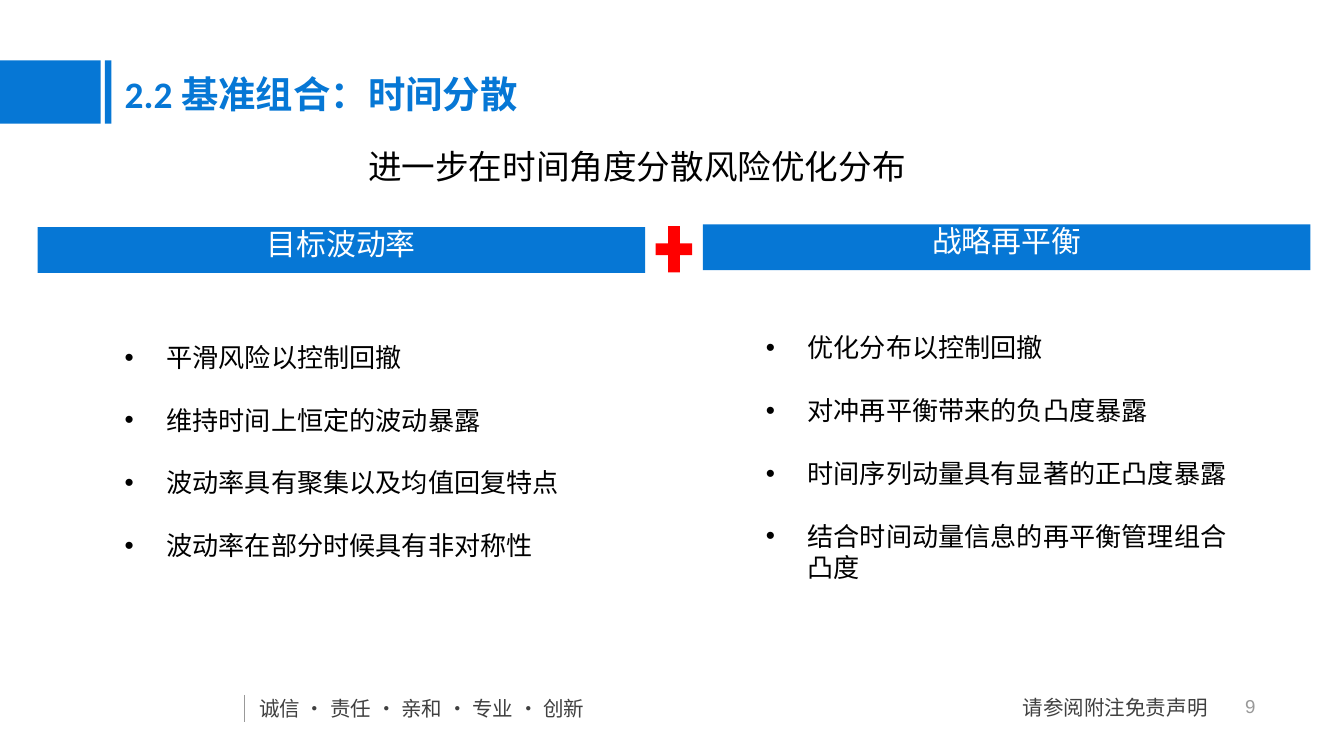
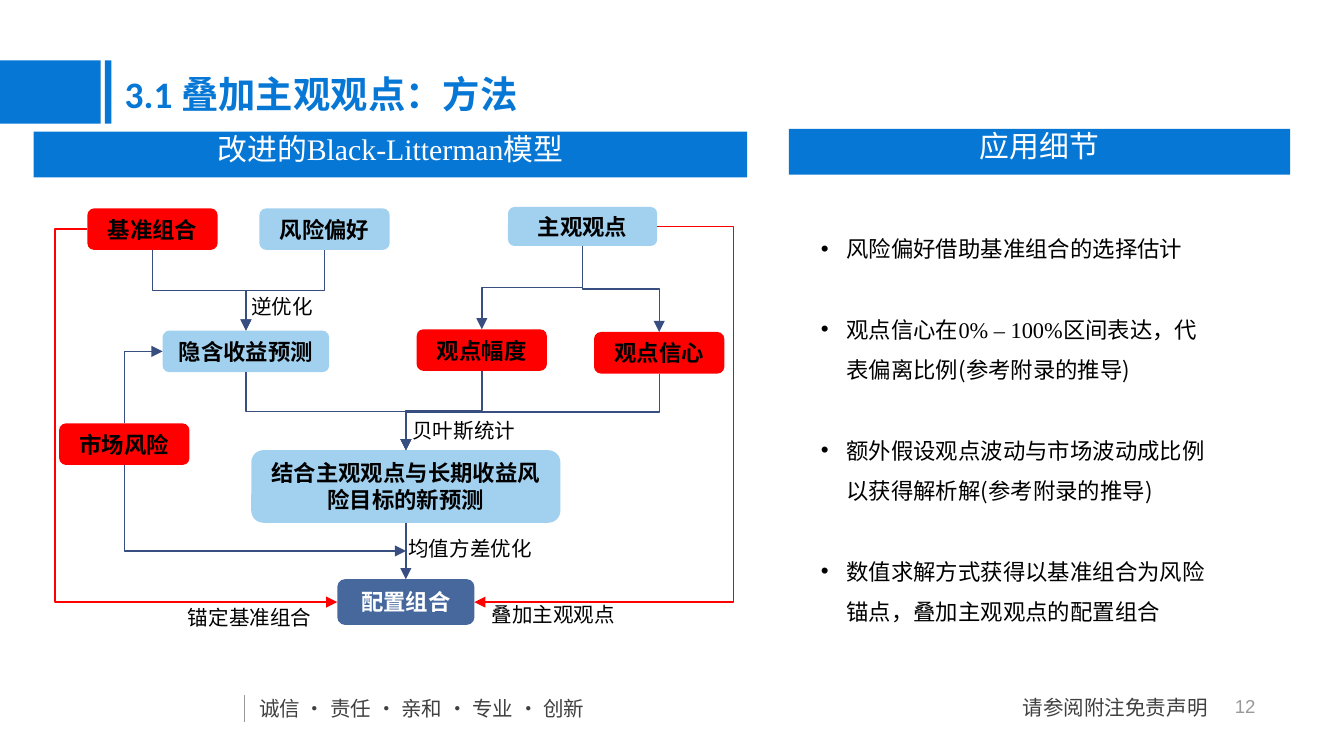
import pptx
import pptx.dml.color
import pptx.enum.shapes
import pptx.enum.text
import pptx.oxml
import pptx.oxml.ns
import pptx.util

Inches = pptx.util.Inches
Pt = pptx.util.Pt
RGBColor = pptx.dml.color.RGBColor
Shape = pptx.enum.shapes.MSO_SHAPE
Connector = pptx.enum.shapes.MSO_CONNECTOR
Align = pptx.enum.text.PP_ALIGN
Anchor = pptx.enum.text.MSO_ANCHOR
qn = pptx.oxml.ns.qn

BLUE = RGBColor(0x06, 0x77, 0xD5)
SKY = RGBColor(0xA2, 0xD1, 0xEF)
STEEL = RGBColor(0x47, 0x68, 0x9D)
NAVY = RGBColor(0x38, 0x4D, 0x80)
RED = RGBColor(0xFF, 0x00, 0x00)
BLACK = RGBColor(0x00, 0x00, 0x00)
WHITE = RGBColor(0xFF, 0xFF, 0xFF)
DARK_GRAY = RGBColor(0x40, 0x40, 0x40)
GRAY = RGBColor(0x99, 0x99, 0x99)

SANS = "Noto Sans CJK SC"
SERIF = "Times New Roman"
LINE_HEIGHT = 1.2
TOP, LEFT, BOTTOM, RIGHT = range(4)

MOTTO = "诚信 · 责任 · 亲和 · 专业 · 创新"
DISCLAIMER = "请参阅附注免责声明"

DIVERSIFICATION = {
    "title": "2.2 基准组合：时间分散",
    "number": "9 ",
    "banners": [
        ((0.28, 1.69, 4.52), [("目标波动率", SANS)]),
        ((5.23, 1.67, 4.52), [("战略再平衡", SANS)]),
    ],
}
SUBTITLE = "进一步在时间角度分散风险优化分布"
VOLATILITY_POINTS = [
    [("平滑风险以控制回撤", SANS)],
    [("维持时间上恒定的波动暴露", SANS)],
    [("波动率具有聚集以及均值回复特点", SANS)],
    [("波动率在部分时候具有非对称性", SANS)],
]
REBALANCING_POINTS = [
    [("优化分布以控制回撤", SANS)],
    [("对冲再平衡带来的负凸度暴露", SANS)],
    [("时间序列动量具有显著的正凸度暴露", SANS)],
    [("结合时间动量信息的再平衡管理组合凸度", SANS)],
]

VIEWS = {
    "title": "3.1 叠加主观观点：方法",
    "number": "12 ",
    "banners": [
        ((0.25, 0.98, 5.31), [("改进的", SANS), ("Black-Litterman", SERIF), ("模型", SANS)]),
        ((5.87, 0.96, 3.73), [("应用细节", SANS)]),
    ],
}
DETAIL_POINTS = [
    [("风险偏好借助基准组合的选择估计", SANS)],
    [("观点信心在", SANS), ("0% – 100%区间", SERIF), ("表达，代表偏离比例(参考附录的推导)", SANS)],
    [("额外假设观点波动与市场波动成比例以获得解析解(参考附录的推导)", SANS)],
    [("数值求解方式获得以基准组合为风险锚点，叠加主观观点的配置组合", SANS)],
]
FORECAST = "结合主观观点与长期收益风险目标的新预测"
NODES = {
    "基准组合": ((0.65, 1.55, 0.97, 0.31), RED, BLACK),
    "风险偏好": ((1.93, 1.55, 0.97, 0.31), SKY, BLACK),
    "主观观点": ((3.78, 1.54, 1.11, 0.29), SKY, BLACK),
    "隐含收益预测": ((1.21, 2.46, 1.24, 0.31), SKY, BLACK),
    "观点幅度": ((3.1, 2.45, 0.97, 0.31), RED, BLACK),
    "观点信心": ((4.42, 2.47, 0.97, 0.31), RED, BLACK),
    "市场风险": ((0.44, 3.15, 0.97, 0.31), RED, BLACK),
    FORECAST: ((1.87, 3.35, 2.3, 0.54), SKY, BLACK),
    "配置组合": ((2.51, 4.31, 1.02, 0.34), STEEL, WHITE),
}
DROPS = [
    ("基准组合", "隐含收益预测"),
    ("风险偏好", "隐含收益预测"),
    ("主观观点", "观点幅度"),
    ("主观观点", "观点信心"),
    ("隐含收益预测", FORECAST),
    ("观点幅度", FORECAST),
    ("观点信心", FORECAST),
]
ANCHORS = [("基准组合", LEFT, -0.13), ("主观观点", RIGHT, -0.42)]
FLOW_LABELS = [
    ("逆优化", (1.77, 2.14, 0.79)),
    ("贝叶斯统计", (2.97, 3.06, 1.02)),
    ("均值方差优化", (2.94, 3.94, 1.36)),
    ("锚定基准组合", (1.3, 4.45, 1.21)),
    ("叠加主观观点", (3.56, 4.43, 1.35)),
]


def element(tag):
    return pptx.oxml.parse_xml(f'<a:{tag} {pptx.oxml.ns.nsdecls("a")}/>')


def write(paragraph, runs, size, color, bold=False, spacing=1):
    paragraph.line_spacing = Pt(round(size * LINE_HEIGHT * spacing, 1))
    for text, font_name in runs:
        run = paragraph.add_run()
        run.text = text
        run.font.name = font_name
        run.font.size = Pt(size)
        run.font.bold = bold
        run.font.color.rgb = color
        run.font._element.find(qn("a:latin")).addnext(element(f'ea typeface="{SANS}"'))


def add_text(slide, box, runs, size, color, bold=False, align=Align.LEFT, insets=(0.1, 0.05), wrap=True):
    frame = slide.shapes.add_textbox(*map(Inches, box)).text_frame
    frame.word_wrap = wrap
    frame.margin_left = frame.margin_right = Inches(insets[0])
    frame.margin_top = frame.margin_bottom = Inches(insets[1])
    frame.paragraphs[0].alignment = align
    write(frame.paragraphs[0], runs, size, color, bold)


def add_bullets(slide, box, points, size, indent, spacing=1):
    frame = slide.shapes.add_textbox(*map(Inches, box)).text_frame
    frame.word_wrap = True
    for index, runs in enumerate(points):
        paragraph = frame.paragraphs[0] if index == 0 else frame.add_paragraph()
        write(paragraph, runs, size, BLACK, spacing=spacing)
        if index:
            paragraph.space_before = paragraph.line_spacing
        properties = paragraph._p.get_or_add_pPr()
        properties.set("marL", str(Inches(indent)))
        properties.set("indent", str(-Inches(indent)))
        properties.append(element('buFont typeface="Arial"'))
        properties.append(element('buChar char="•"'))


def add_block(slide, kind, box, fill):
    shape = slide.shapes.add_shape(kind, *map(Inches, box))
    shape.shadow.inherit = False
    shape.fill.solid()
    shape.fill.fore_color.rgb = fill
    shape.line.fill.background()
    return shape


def style_line(connector, color, arrow=True):
    connector.line.color.rgb = color
    connector.line.width = Pt(0.75)
    if arrow:
        connector.line._get_or_add_ln().append(element('tailEnd type="triangle"'))
    connector._element.spPr.append(element("effectLst"))


def add_link(slide, kind, start, start_side, end, end_side, color):
    connector = slide.shapes.add_connector(kind, 0, 0, 0, 0)
    connector.begin_connect(start, start_side)
    if isinstance(end, tuple):
        connector.end_x, connector.end_y = end
    else:
        connector.end_connect(end, end_side)
    style_line(connector, color)
    return connector


def leave_vertically(connector, preset="bentConnector3"):
    x1, y1, x2, y2 = connector.begin_x, connector.begin_y, connector.end_x, connector.end_y
    rightward, downward = x2 > x1, y2 > y1
    width, height = abs(y2 - y1), abs(x2 - x1)
    connector.left, connector.top = (x1 + x2 - width) // 2, (y1 + y2 - height) // 2
    connector.width, connector.height = width, height
    transform = connector._element.spPr.find(qn("a:xfrm"))
    transform.set("rot", str((270 if rightward and downward else 90) * 60000))
    transform.set("flipH", str(int(rightward)))
    transform.set("flipV", str(int(rightward and not downward)))
    connector._element.spPr.find(qn("a:prstGeom")).set("prst", preset)


def shift_bend(connector, share):
    guides = connector._element.spPr.find(qn("a:prstGeom")).find(qn("a:avLst"))
    guides.append(element(f'gd name="adj1" fmla="val {round(share * 100000)}"'))


def start_slide(presentation, content):
    slide = presentation.slides.add_slide(presentation.slide_layouts[6])
    add_text(slide, (1.83, 5.13, 2.94, 0.29), [(MOTTO, SANS)], 11, DARK_GRAY)
    divider = slide.shapes.add_connector(
        Connector.STRAIGHT, *map(Inches, (1.82, 5.17, 1.82, 5.37)))
    style_line(divider, GRAY, arrow=False)
    add_text(slide, (9.17, 5.17, 0.21, 0.17), [(content["number"], "Arial")], 10, GRAY,
             align=Align.RIGHT, insets=(0, 0), wrap=False)
    add_text(slide, (7.51, 5.12, 1.66, 0.29), [(DISCLAIMER, SANS)], 11, DARK_GRAY)
    for left, width in ((0, 0.75), (0.78, 0.05)):
        add_block(slide, Shape.RECTANGLE, (left, 0.45, width, 0.47), BLUE)
    add_text(slide, (0.83, 0.48, 8.43, 0.44), [(content["title"], "Calibri")], 20, BLUE, bold=True)
    for (left, top, width), runs in content["banners"]:
        add_block(slide, Shape.RECTANGLE, (left, top, width, 0.34), BLUE)
        add_text(slide, (left, top - 0.06, width, 0.37), runs, 16, WHITE,
                 align=Align.CENTER, insets=(0.04, 0.05))
    return slide


def build_diversification(presentation):
    slide = start_slide(presentation, DIVERSIFICATION)
    add_text(slide, (2.64, 1.04, 4.49, 0.4), [(SUBTITLE, SANS)], 18, BLACK)
    add_bullets(slide, (0.83, 2.49, 3.46, 1.75), VOLATILITY_POINTS, 14, 0.31)
    add_bullets(slide, (5.6, 2.42, 3.78, 2.52), REBALANCING_POINTS, 14, 0.31)
    add_block(slide, Shape.MATH_PLUS, (4.83, 1.62, 0.37, 0.47), RED)


def build_views(presentation):
    slide = start_slide(presentation, VIEWS)
    nodes = {}
    for name, (box, fill, color) in NODES.items():
        node = add_block(slide, Shape.ROUNDED_RECTANGLE, box, fill)
        node.text_frame.word_wrap = True
        node.text_frame.vertical_anchor = Anchor.MIDDLE
        paragraph = node.text_frame.paragraphs[0]
        paragraph.alignment = Align.CENTER
        write(paragraph, [(name, SANS)], 12, color, bold=True)
        nodes[name] = node

    for start, end in DROPS:
        leave_vertically(add_link(
            slide, Connector.ELBOW, nodes[start], BOTTOM, nodes[end], TOP, NAVY))

    portfolio, risk = nodes["配置组合"], nodes["市场风险"]
    final = add_link(slide, Connector.STRAIGHT, nodes[FORECAST], BOTTOM, portfolio, TOP, NAVY)
    middle = (final.begin_x, (final.begin_y + final.end_y) // 2)
    for side, end, end_side in ((TOP, nodes["隐含收益预测"], LEFT), (BOTTOM, middle, None)):
        link = add_link(slide, Connector.ELBOW, risk, side, end, end_side, NAVY)
        leave_vertically(link, "bentConnector2")

    for start, side, share in ANCHORS:
        link = add_link(slide, Connector.ELBOW, nodes[start], side, portfolio, side, RED)
        shift_bend(link, share)

    for text, (left, top, width) in FLOW_LABELS:
        add_text(slide, (left, top, width, 0.29), [(text, SANS)], 11, BLACK)
    add_bullets(slide, (6.01, 1.6, 3.15, 3.08), DETAIL_POINTS, 12, 0.19, spacing=1.5)


def main():
    presentation = pptx.Presentation()
    presentation.slide_width = Inches(10)
    presentation.slide_height = presentation.slide_width * 9 // 16
    build_diversification(presentation)
    build_views(presentation)
    presentation.save("out.pptx")


if __name__ == "__main__":
    main()
